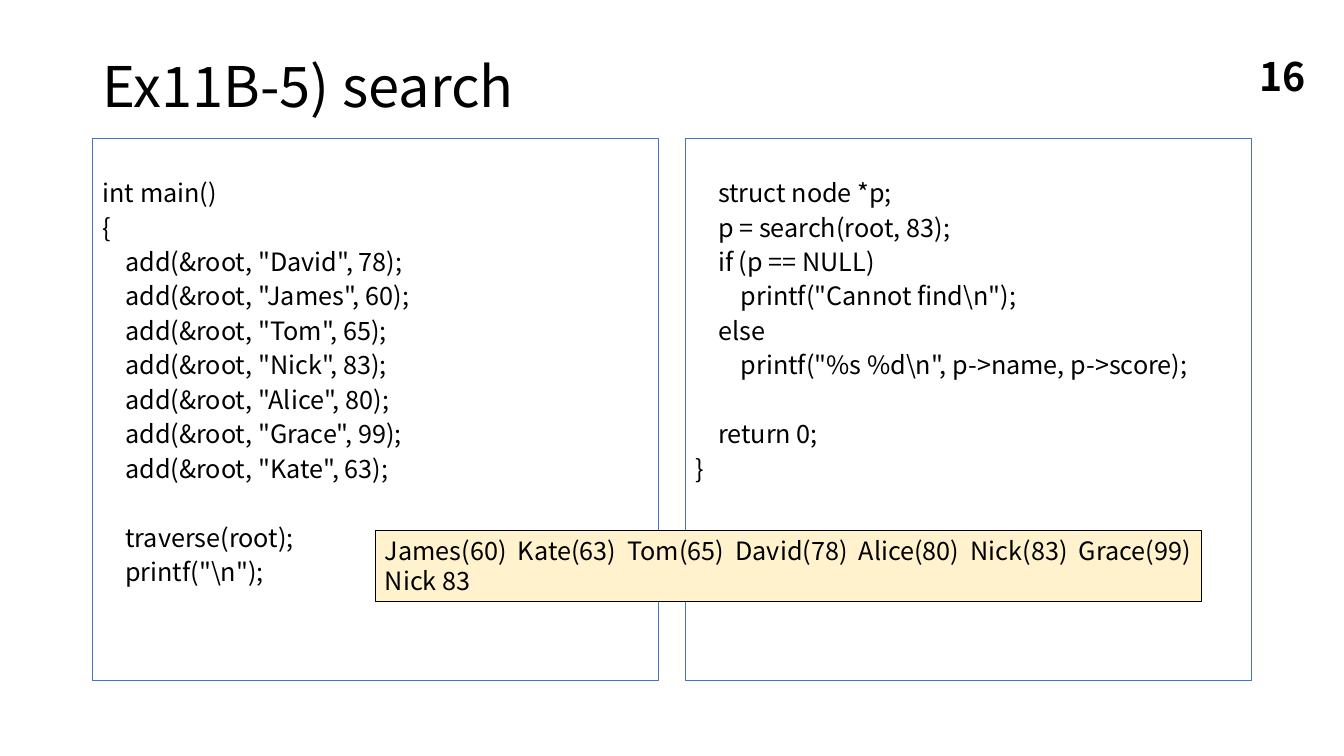
from dataclasses import dataclass, field
from typing import Any

from pptx import Presentation
from pptx.dml.color import RGBColor
from pptx.enum.shapes import MSO_SHAPE
from pptx.enum.text import MSO_ANCHOR, PP_ALIGN
from pptx.slide import Slide
from pptx.util import Inches, Pt


@dataclass(frozen=True)
class Theme:
    font: str = "Noto Sans CJK KR"
    text: RGBColor = RGBColor(0x00, 0x00, 0x00)
    panel_line: RGBColor = RGBColor(0x44, 0x72, 0xC4)
    output_fill: RGBColor = RGBColor(0xFF, 0xF2, 0xCC)
    title_size: int = 40
    number_size: int = 28
    code_size: int = 18
    line_width: float = 0.75
    code_gap: float = 3
    blank_line_gap: float = 27.6


THEME = Theme()


@dataclass(frozen=True)
class TextBlock:
    left: float
    top: float
    width: float
    height: float
    lines: list[str]
    size: int = THEME.code_size
    bold: bool = False
    fill: RGBColor | None = None
    line: RGBColor | None = None
    top_inset: float = 0.05
    anchor: MSO_ANCHOR = MSO_ANCHOR.TOP
    gap: float = 0
    paragraph_format: dict[str, Any] = field(default_factory=dict)


MAIN_CODE = r'''int main()
{
    add(&root, "David", 78);
    add(&root, "James", 60);
    add(&root, "Tom", 65);
    add(&root, "Nick", 83);
    add(&root, "Alice", 80);
    add(&root, "Grace", 99);
    add(&root, "Kate", 63);

    traverse(root);
    printf("\n");'''

SEARCH_CODE = r'''    struct node *p;
    p = search(root, 83);
    if (p == NULL)
        printf("Cannot find\n");
    else
        printf("%s %d\n", p->name, p->score);

    return 0;
}'''

OUTPUT = [
    "James(60)  Kate(63)  Tom(65)  David(78)  Alice(80)  Nick(83)  Grace(99)",
    "Nick 83",
]


def set_attributes(target: Any, values: dict[str, Any]) -> None:
    for name, value in values.items():
        setattr(target, name, value)


def write_lines(text_frame: Any, block: TextBlock) -> None:
    """Write one paragraph per line; an empty line widens the next gap."""
    paragraph = text_frame.paragraphs[0]
    gap = 0.0
    for index, line in enumerate(block.lines):
        if not line:
            gap = THEME.blank_line_gap
            continue
        if index:
            paragraph = text_frame.add_paragraph()
        set_attributes(paragraph, {
            "alignment": PP_ALIGN.LEFT,
            "space_before": Pt(gap),
            **block.paragraph_format,
        })
        run = paragraph.add_run()
        run.text = line
        set_attributes(run.font, {
            "name": THEME.font, "size": Pt(block.size), "bold": block.bold,
        })
        run.font.color.rgb = THEME.text
        gap = block.gap


def draw_block(slide: Slide, block: TextBlock) -> None:
    box = [Inches(value) for value in (block.left, block.top, block.width, block.height)]
    if block.line is None:
        shape = slide.shapes.add_textbox(*box)
    else:
        shape = slide.shapes.add_shape(MSO_SHAPE.RECTANGLE, *box)
        shape.shadow.inherit = False
        shape.line.color.rgb = block.line
        shape.line.width = Pt(THEME.line_width)
        if block.fill is None:
            shape.fill.background()
        else:
            shape.fill.solid()
            shape.fill.fore_color.rgb = block.fill
    set_attributes(shape.text_frame, {
        "word_wrap": True,
        "vertical_anchor": block.anchor,
        "margin_top": Inches(block.top_inset),
    })
    write_lines(shape.text_frame, block)


def code_panel(left: float, code: str) -> TextBlock:
    return TextBlock(left, 1.37, 5.61, 5.38, code.splitlines(),
                     line=THEME.panel_line, top_inset=0.39, gap=THEME.code_gap)


def main() -> None:
    presentation = Presentation()
    presentation.slide_width = Inches(13.33)
    presentation.slide_height = Inches(7.5)
    slide = presentation.slides.add_slide(presentation.slide_layouts[6])

    blocks = [
        # Title
        TextBlock(0.92, 0.4, 11.5, 0.97, ["Ex11B-5) search"], size=THEME.title_size,
                  anchor=MSO_ANCHOR.MIDDLE, paragraph_format={"line_spacing": 0.9}),
        # Code panels
        code_panel(0.92, MAIN_CODE),
        code_panel(6.8, SEARCH_CODE),
        # Page number
        TextBlock(10.05, 0.55, 3, 0.4, ["16"], size=THEME.number_size, bold=True,
                  anchor=MSO_ANCHOR.MIDDLE,
                  paragraph_format={"alignment": PP_ALIGN.RIGHT}),
        # Program output
        TextBlock(3.72, 5.26, 8.2, 0.71, OUTPUT,
                  fill=THEME.output_fill, line=THEME.text),
    ]
    for block in blocks:
        draw_block(slide, block)

    presentation.save("out.pptx")


if __name__ == "__main__":
    main()
